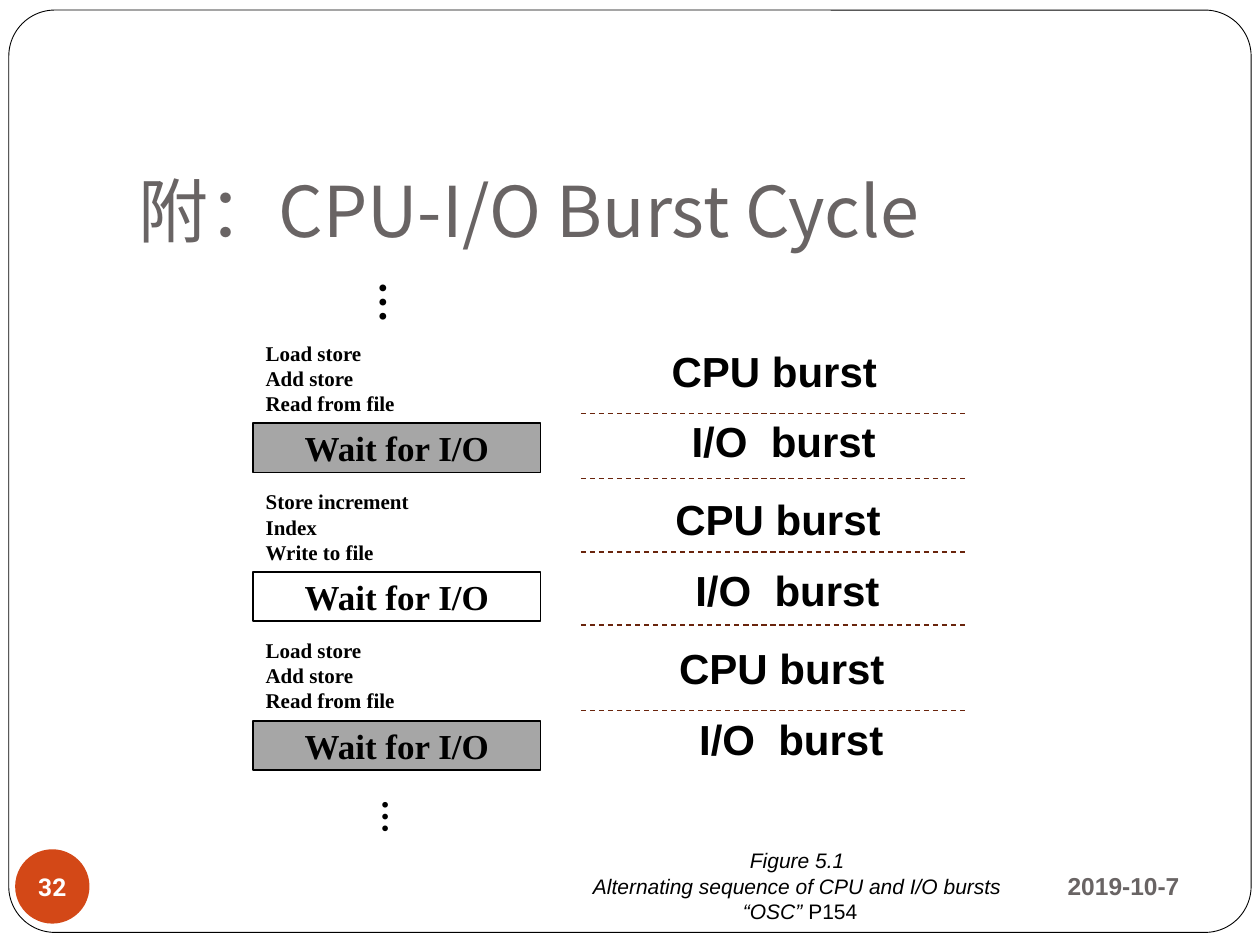
from lxml import etree
from pptx import Presentation
from pptx.dml.color import RGBColor
from pptx.enum.dml import MSO_LINE
from pptx.enum.shapes import MSO_CONNECTOR, MSO_SHAPE
from pptx.enum.text import MSO_ANCHOR, MSO_AUTO_SIZE, PP_ALIGN
from pptx.oxml.ns import qn
from pptx.util import Inches, Pt

LEFT, CENTER, RIGHT = PP_ALIGN.LEFT, PP_ALIGN.CENTER, PP_ALIGN.RIGHT
TOP, MIDDLE, BOTTOM = MSO_ANCHOR.TOP, MSO_ANCHOR.MIDDLE, MSO_ANCHOR.BOTTOM
SERIF, SANS, CJK, NUMBER = "Times New Roman", "Arial", "Noto Sans CJK SC", "Roboto"
BLACK, WHITE, GRAY, SHADE = "000000", "FFFFFF", "696464", "A6A6A6"
ORANGE, BROWN = "D34817", "69240C"

COL_X, COL_W = 2.01, 2.28
STEP = 1.18
LOAD = ["Load store", "Add store", "Read from file"]
STORE = ["Store increment", "Index", "Write to file"]
CYCLES = [(LOAD, SHADE), (STORE, None), (LOAD, SHADE)]
DIVIDERS = [3.28, 3.8, 4.38, 4.96, 5.64]


def rgb(color):
    return RGBColor.from_string(color)


def write(s, lines, size, font, color=BLACK, bold=False, italic=False,
          align=LEFT, anchor=MIDDLE, wrap=True):
    """Fill a shape with one paragraph per line and return its text frame."""
    tf = s.text_frame
    tf.word_wrap = wrap
    tf.vertical_anchor = anchor
    for i, line in enumerate(lines):
        p = tf.paragraphs[0] if i == 0 else tf.add_paragraph()
        p.alignment = align
        r = p.add_run()
        r.text = line
        style_run(r, size, font, color, bold, italic)
    return tf


def style_run(r, size, font, color, bold, italic):
    f = r.font
    f.size, f.name, f.bold, f.italic = Pt(size), font, bold, italic
    f.color.rgb = rgb(color)
    ea = etree.SubElement(f._element, qn("a:ea"))
    ea.set("typeface", font)


def add_text(slide, at, lines, size, font, **fmt):
    s = slide.shapes.add_textbox(*map(Inches, at))
    return write(s, lines, size, font, **fmt)


def add_label(slide, at, lines, size, **fmt):
    """Add centred text whose box grows with it and does not wrap."""
    tf = add_text(slide, at, lines, size, SANS, align=CENTER, anchor=TOP,
                  wrap=False, **fmt)
    tf.auto_size = MSO_AUTO_SIZE.SHAPE_TO_FIT_TEXT
    return tf


def add_ellipsis(slide, top, size):
    tf = add_text(slide, (COL_X, top, COL_W, 0.6), ["… "], size, SERIF,
                  bold=True, align=CENTER)
    tf._txBody.bodyPr.set("vert", "vert")


def add_box(slide, kind, at, fill=None, line=None, width=1):
    s = slide.shapes.add_shape(kind, *map(Inches, at))
    s.shadow.inherit = False
    if fill:
        s.fill.solid()
        s.fill.fore_color.rgb = rgb(fill)
    else:
        s.fill.background()
    if line:
        s.line.color.rgb = rgb(line)
        s.line.width = Pt(width)
    else:
        s.line.fill.background()
    return s


def add_divider(slide, y):
    s = slide.shapes.add_connector(MSO_CONNECTOR.STRAIGHT, Inches(4.61), Inches(y),
                                   Inches(7.68), Inches(y))
    s.line.color.rgb = rgb(BROWN)
    s.line.width = Pt(0.75)
    s.line.dash_style = MSO_LINE.DASH
    etree.SubElement(s._element.spPr, qn("a:effectLst"))


def add_frame(slide):
    """Add the rounded page border behind everything else."""
    s = add_box(slide, MSO_SHAPE.ROUNDED_RECTANGLE, (0.07, 0.08, 9.86, 7.32),
                WHITE, BLACK, 0.5)
    s.adjustments[0] = 0.05
    slide.shapes._spTree.insert(2, s._element)


def add_title(slide, text):
    s = slide.shapes.title
    s.left, s.top, s.width, s.height = map(Inches, (1, 0.95, 8.5, 1.15))
    tf = write(s, [text], 40, CJK, color=GRAY, anchor=BOTTOM)
    tf.auto_size = MSO_AUTO_SIZE.NONE
    tf.margin_bottom = Inches(0.1)


def add_footer(slide, date, number):
    add_text(slide, (6.75, 6.77, 2.71, 0.52), [date], 14, SANS, color=GRAY,
             bold=True, align=RIGHT)
    s = add_box(slide, MSO_SHAPE.OVAL, (0.12, 6.74, 0.59, 0.59), ORANGE)
    tf = write(s, [number], 14, NUMBER, color=WHITE, bold=True, align=CENTER,
               wrap=False)
    tf.margin_left = tf.margin_right = tf.margin_top = tf.margin_bottom = 0


def add_cycle(slide, i, lines, fill):
    """Add one CPU burst and the I/O wait after it, with their labels."""
    dy = i * STEP
    add_text(slide, (COL_X, 2.7 + dy, COL_W, 0.6), lines, 12, SERIF, bold=True)
    s = add_box(slide, MSO_SHAPE.RECTANGLE, (COL_X, 3.36 + dy, COL_W, 0.39),
                fill, BLACK)
    write(s, ["Wait for I/O"], 20, SERIF, bold=True, align=CENTER)
    dx = i * 0.03
    add_label(slide, (5.22 + dx, 2.69 + dy, 1.85, 0.5), ["CPU burst"], 24, bold=True)
    add_label(slide, (5.38 + dx, 3.25 + dy, 1.68, 0.5), ["I/O  burst"], 24, bold=True)


def add_caption(slide):
    lines = ["Figure 5.1 ", "Alternating sequence of CPU and I/O bursts ", "“OSC” "]
    tf = add_label(slide, (4.59, 6.68, 3.52, 0.71), lines, 12, italic=True)
    r = tf.paragraphs[-1].add_run()
    r.text = "P154"
    style_run(r, 12, SANS, BLACK, False, False)


def main():
    prs = Presentation()
    prs.slide_width, prs.slide_height = Inches(10), Inches(7.5)
    slide = prs.slides.add_slide(prs.slide_layouts[5])
    add_frame(slide)
    add_title(slide, "附：CPU-I/O Burst Cycle")
    add_footer(slide, "2019-10-7", "32")
    add_ellipsis(slide, 2.1, 24)
    for i, (lines, fill) in enumerate(CYCLES):
        add_cycle(slide, i, lines, fill)
    add_ellipsis(slide, 6.22, 20)
    for y in DIVIDERS:
        add_divider(slide, y)
    add_caption(slide)
    prs.save("out.pptx")


if __name__ == "__main__":
    main()
